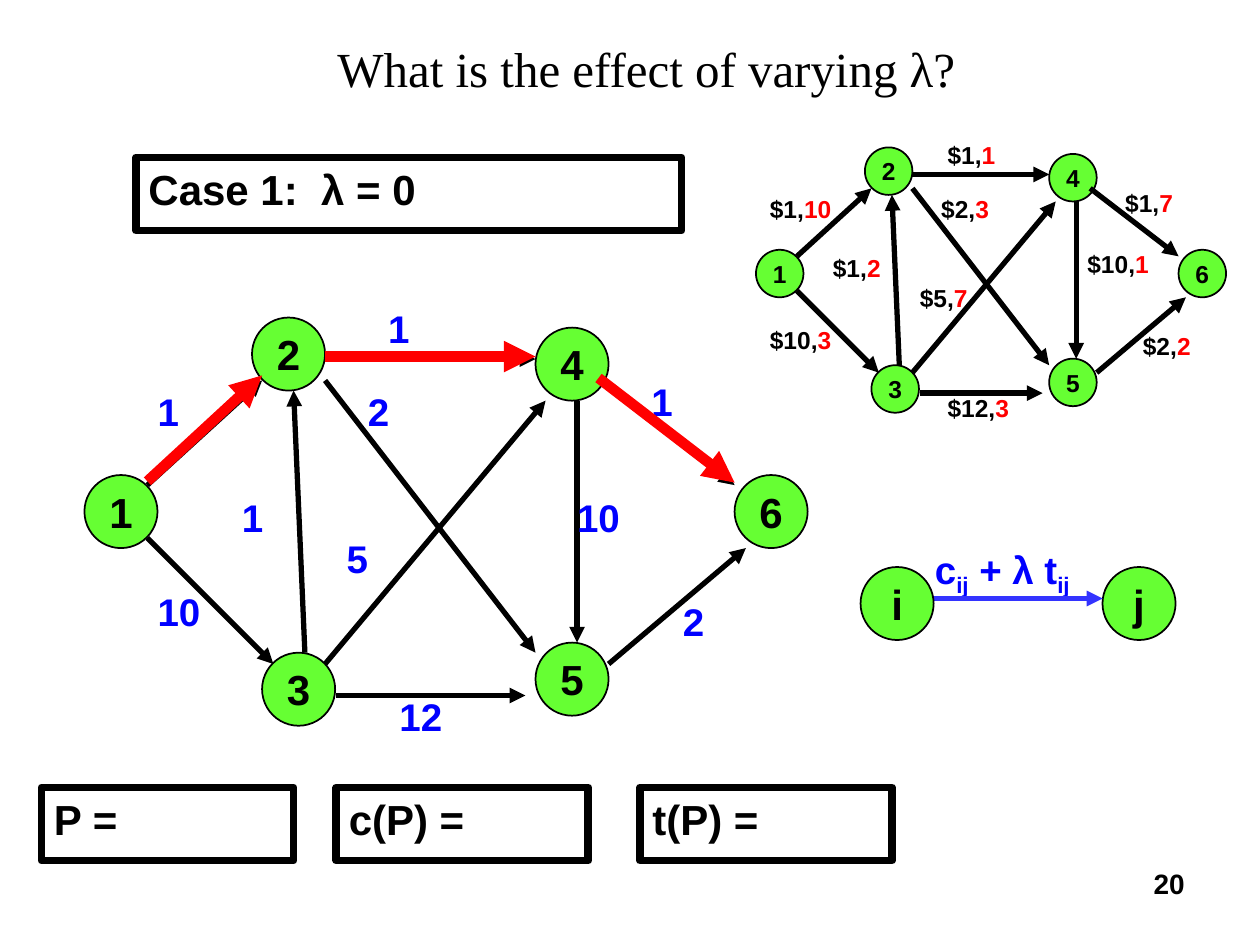
from lxml.etree import SubElement
from pptx import Presentation
from pptx.dml.color import RGBColor
from pptx.enum.shapes import MSO_CONNECTOR, MSO_SHAPE
from pptx.enum.text import MSO_ANCHOR, PP_ALIGN
from pptx.oxml.ns import qn
from pptx.util import Inches, Pt

COLORS = {
    "black": "000000",
    "white": "FFFFFF",
    "red": "FF0000",
    "blue": "0000FF",
    "link": "3333FF",
    "node": "66FF33",
}

NODES = {
    "1": (0.67, 3.77), "2": (2, 2.52), "4": (4.25, 2.6),
    "5": (4.25, 5.1), "3": (2.08, 5.18), "6": (5.83, 3.77),
}
EDGES = [
    (1.17, 3.85, 2.08, 3.02), (2.58, 2.85, 4.25, 2.85),
    (2.58, 3.02, 4.25, 5.18), (1.17, 4.27, 2.17, 5.27),
    (2.42, 5.18, 2.33, 3.1), (2.58, 5.27, 4.33, 3.18),
    (2.67, 5.52, 4.17, 5.52), (4.83, 5.27, 5.92, 4.35),
    (4.75, 3.02, 5.83, 3.85), (4.58, 3.18, 4.58, 5.1),
]
SHORTEST_PATH = [
    (1.17, 3.82, 2.08, 2.98), (2.58, 2.83, 4.25, 2.83), (4.75, 3, 5.83, 3.83),
]
COST_LABELS = [
    ("1", 1.25, 3.08), ("2", 5.42, 4.75), ("5", 2.75, 4.25), ("10", 4.58, 3.92),
    ("10", 1.25, 4.67), ("1", 3.08, 2.42), ("1", 5.17, 3), ("1", 1.92, 3.92),
    ("2", 2.92, 3.08), ("12", 3.17, 5.5),
]
COST_TIME_LABELS = [
    ("$1,", "10", 6.11, 1.54), ("$1,", "1", 7.52, 1.11), ("$1,", "7", 8.93, 1.49),
    ("$2,", "3", 7.47, 1.54), ("$10,", "3", 6.11, 2.58), ("$12,", "3", 7.52, 3.12),
    ("$2,", "2", 9.07, 2.63), ("$1,", "2", 6.61, 2.01), ("$10,", "1", 8.63, 1.98),
    ("$5,", "7", 7.3, 2.25),
]
ANSWERS = [("P =", 0.33), ("c(P) =", 2.67), ("t(P) =", 5.08)]
NODE_SIZE = 0.58
SMALL_SCALE = 0.65


def to_small(x, y):
    """Map a point of the large network to the small one at the top right."""
    return 6 + (x - 0.67) * SMALL_SCALE, 1.17 + (y - 2.52) * SMALL_SCALE


class SlideBuilder:
    """Holds the text style, the slide and the shape tree being filled."""

    font = "Arial"

    def __init__(self, slide):
        self.slide = slide
        self.shapes = slide.shapes

    def start_group(self):
        self.shapes = self.slide.shapes.add_group_shape().shapes

    def end_group(self):
        self.shapes = self.slide.shapes

    def color(self, name):
        return RGBColor.from_string(COLORS[name])

    def add_runs(self, shape, runs, size, align=PP_ALIGN.LEFT, font=None, bold=True):
        """Add runs given as (text, color) or (text, color, baseline)."""
        paragraph = shape.text_frame.paragraphs[0]
        paragraph.alignment = align
        for text, color, *baseline in runs:
            run = paragraph.add_run()
            run.text = text
            run.font.name = font or self.font
            run.font.size = Pt(size)
            run.font.bold = bold
            run.font.color.rgb = self.color(color)
            if baseline:
                run._r.get_or_add_rPr().set("baseline", str(baseline[0]))

    def text(self, box, runs, size, inset=True, anchor=MSO_ANCHOR.TOP, **style):
        shape = self.shapes.add_textbox(*map(Inches, box))
        frame = shape.text_frame
        frame.word_wrap = True
        frame.vertical_anchor = anchor
        if not inset:
            frame.margin_left = frame.margin_right = 0
            frame.margin_top = frame.margin_bottom = 0
        self.add_runs(shape, runs, size, **style)

    def outlined(self, kind, box, fill, line_width):
        shape = self.shapes.add_shape(kind, *map(Inches, box))
        shape.shadow.inherit = False
        shape.fill.solid()
        shape.fill.fore_color.rgb = self.color(fill)
        shape.line.color.rgb = self.color("black")
        shape.line.width = Pt(line_width)
        return shape

    def frame(self, left, top, width, text):
        shape = self.outlined(MSO_SHAPE.RECTANGLE, (left, top, width, 0.58), "white", 4.5)
        shape.text_frame.vertical_anchor = MSO_ANCHOR.TOP
        self.add_runs(shape, [(text, "black")], 24)

    def node(self, name, x, y, diameter=NODE_SIZE, size=24):
        shape = self.outlined(MSO_SHAPE.OVAL, (x, y, diameter, diameter), "node", 1)
        shape.text_frame.word_wrap = False
        shape.text_frame.vertical_anchor = MSO_ANCHOR.MIDDLE
        self.add_runs(shape, [(name, "black")], size, PP_ALIGN.CENTER)

    def arrow(self, points, color="black", width=3):
        connector = self.shapes.add_connector(MSO_CONNECTOR.STRAIGHT, *map(Inches, points))
        connector.line.color.rgb = self.color(color)
        connector.line.width = Pt(width)
        properties = connector._element.spPr
        SubElement(properties.find(qn("a:ln")), qn("a:tailEnd"), type="triangle")
        SubElement(properties, qn("a:effectLst"))


def main():
    presentation = Presentation()
    presentation.slide_width = Inches(10)
    presentation.slide_height = Inches(7.5)
    builder = SlideBuilder(presentation.slides.add_slide(presentation.slide_layouts[6]))

    builder.text((7.17, 6.83, 2.33, 0.52), [("20", "black")], 16, align=PP_ALIGN.RIGHT)
    builder.text((0.42, 0.33, 9.42, 0.42), [("What is the effect of varying λ?", "black")], 28,
                 anchor=MSO_ANCHOR.MIDDLE, align=PP_ALIGN.CENTER,
                 font="Times New Roman", bold=False)
    builder.frame(1.08, 1.25, 4.33, "Case 1:  λ = 0")

    # Large network with the costs for the current λ
    builder.start_group()
    for name, position in NODES.items():
        builder.node(name, *position)
    for edge in EDGES:
        builder.arrow(edge)
    for cost, x, y in COST_LABELS:
        builder.text((x, y, 0.42, 0.37), [(cost, "blue")], 22, inset=False)
    builder.end_group()
    for edge in SHORTEST_PATH:
        builder.arrow(edge, "red", 6)

    for text, left in ANSWERS:
        builder.frame(left, 6.25, 2, text)

    # Small network with cost and time on each edge
    builder.start_group()
    for cost, time, x, y in COST_TIME_LABELS:
        width = 0.48 if len(cost + time) == 4 else 0.62
        builder.text((x, y, width, 0.24), [(cost, "black"), (time, "red")], 14, inset=False)
    for name, position in NODES.items():
        builder.node(name, *to_small(*position), NODE_SIZE * SMALL_SCALE, 14)
    for x1, y1, x2, y2 in EDGES:
        builder.arrow((*to_small(x1, y1), *to_small(x2, y2)))
    builder.end_group()

    # Legend
    builder.start_group()
    formula = [("c", "blue"), ("ij", "blue", -25000),
               (" + λ t", "blue"), ("ij", "blue", -25000)]
    builder.text((7.42, 4.33, 1.25, 0.37), formula, 22, inset=False)
    builder.node("j", 8.75, 4.5)
    builder.arrow((7.33, 4.75, 8.75, 4.75), "link")
    builder.node("i", 6.83, 4.5)
    builder.end_group()

    presentation.save("out.pptx")


if __name__ == "__main__":
    main()
